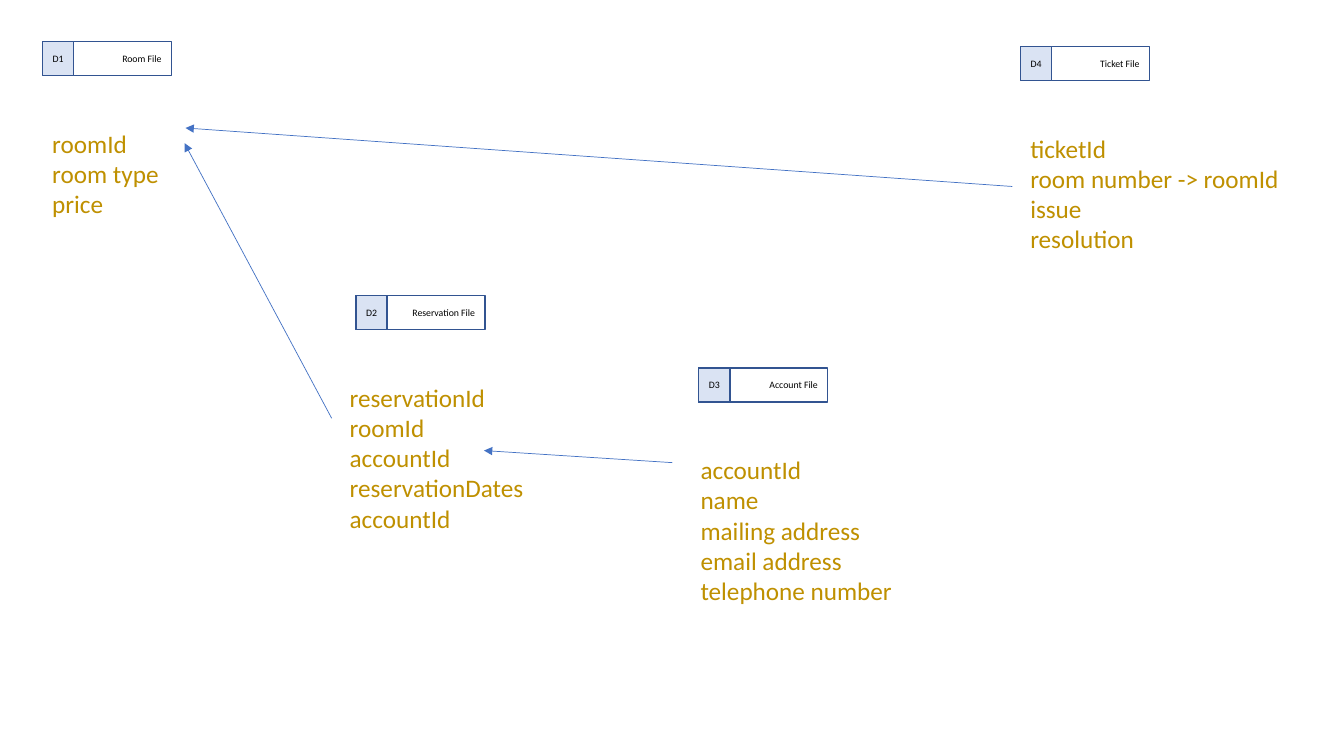
from lxml.etree import SubElement
from pptx import Presentation
from pptx.dml.color import RGBColor
from pptx.enum.shapes import MSO_CONNECTOR, MSO_SHAPE
from pptx.enum.text import MSO_ANCHOR, MSO_AUTO_SIZE, PP_ALIGN
from pptx.oxml.ns import qn
from pptx.util import Inches, Pt

COLORS = {
    "white": "FFFFFF",
    "tag": "DAE3F3",
    "edge": "325491",
    "ink": "000000",
    "field": "BF9000",
    "arrow": "4472C4",
}


class Board:
    font = "Calibri"

    def __init__(self, slide):
        self.slide = slide

    def color(self, name):
        return RGBColor.from_string(COLORS[name])

    def style(self, para, size, color, align):
        para.font.name = self.font
        para.font.size = Pt(size)
        para.font.color.rgb = self.color(color)
        para.alignment = align

    def box(self, group, left, top, width, fill, text, align, inset):
        shape = group.shapes.add_shape(
            MSO_SHAPE.RECTANGLE, Inches(left), Inches(top), Inches(width), Inches(0.34))
        shape.shadow.inherit = False
        shape.fill.solid()
        shape.fill.fore_color.rgb = self.color(fill)
        shape.line.color.rgb = self.color("edge")
        shape.line.width = Pt(1)
        frame = shape.text_frame
        frame.word_wrap = True
        frame.vertical_anchor = MSO_ANCHOR.MIDDLE
        frame.margin_left = frame.margin_right = Inches(inset)
        frame.text = text
        self.style(frame.paragraphs[0], 7, "ink", align)

    def store(self, left, top, code, name):
        group = self.slide.shapes.add_group_shape()
        self.box(group, left, top, 1.28, "white", name, PP_ALIGN.RIGHT, 0.1)
        self.box(group, left, top, 0.31, "tag", code, PP_ALIGN.CENTER, 0)

    def fields(self, left, top, width, names):
        height = 0.1 + 0.3 * len(names)
        text = self.slide.shapes.add_textbox(
            Inches(left), Inches(top), Inches(width), Inches(height))
        frame = text.text_frame
        frame.word_wrap = False
        frame.auto_size = MSO_AUTO_SIZE.SHAPE_TO_FIT_TEXT
        frame.text = "\n".join(names)
        for para in frame.paragraphs:
            self.style(para, 18, "field", PP_ALIGN.LEFT)

    def arrow(self, start, end):
        link = self.slide.shapes.add_connector(
            MSO_CONNECTOR.STRAIGHT, *map(Inches, start + end))
        link.line.color.rgb = self.color("arrow")
        link.line.width = Pt(0.5)
        SubElement(link.line._get_or_add_ln(), qn("a:tailEnd"), type="triangle")
        SubElement(link._element.spPr, qn("a:effectLst"))


deck = Presentation()
deck.slide_width = Inches(13.33)
deck.slide_height = Inches(7.5)
board = Board(deck.slides.add_slide(deck.slide_layouts[6]))

files = [
    ("D1", "Room File", 0.42, 0.41, 0.42, 1.27,
     ["roomId", "room type", "price"]),
    ("D2", "Reservation File", 3.53, 2.93, 3.37, 1.94,
     ["reservationId", "roomId", "accountId", "reservationDates", "accountId"]),
    ("D3", "Account File", 6.93, 3.65, 6.85, 2.13,
     ["accountId", "name", "mailing address", "email address", "telephone number"]),
    ("D4", "Ticket File", 10.12, 0.46, 10.12, 2.78,
     ["ticketId", "room number -> roomId", "issue", "resolution"]),
]
for code, name, left, top, edge, width, names in files:
    board.store(left, top, code, name)
    board.fields(edge, top + 0.81, width, names)

links = [
    ((3.29, 4.15), (1.83, 1.42)),
    ((6.67, 4.59), (4.8, 4.47)),
    ((10.04, 1.85), (1.84, 1.27)),
]
for start, end in links:
    board.arrow(start, end)

deck.save("out.pptx")
